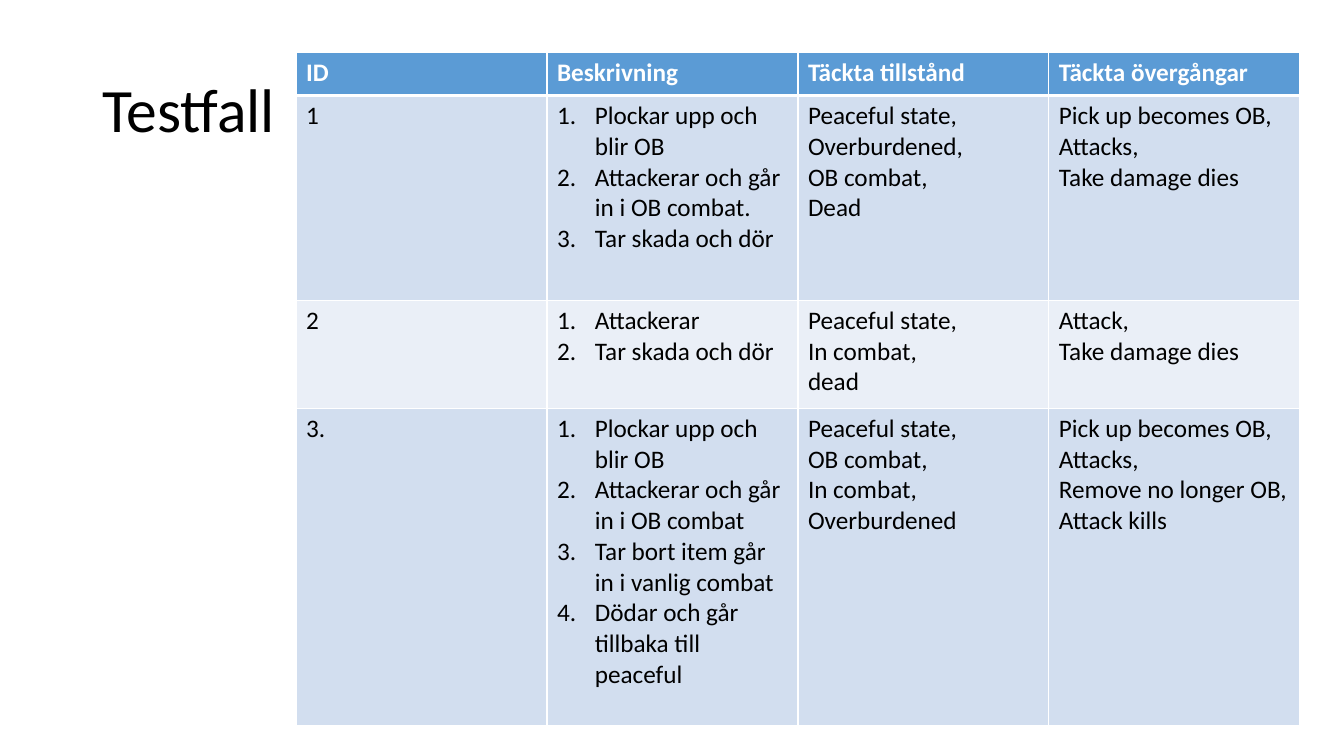
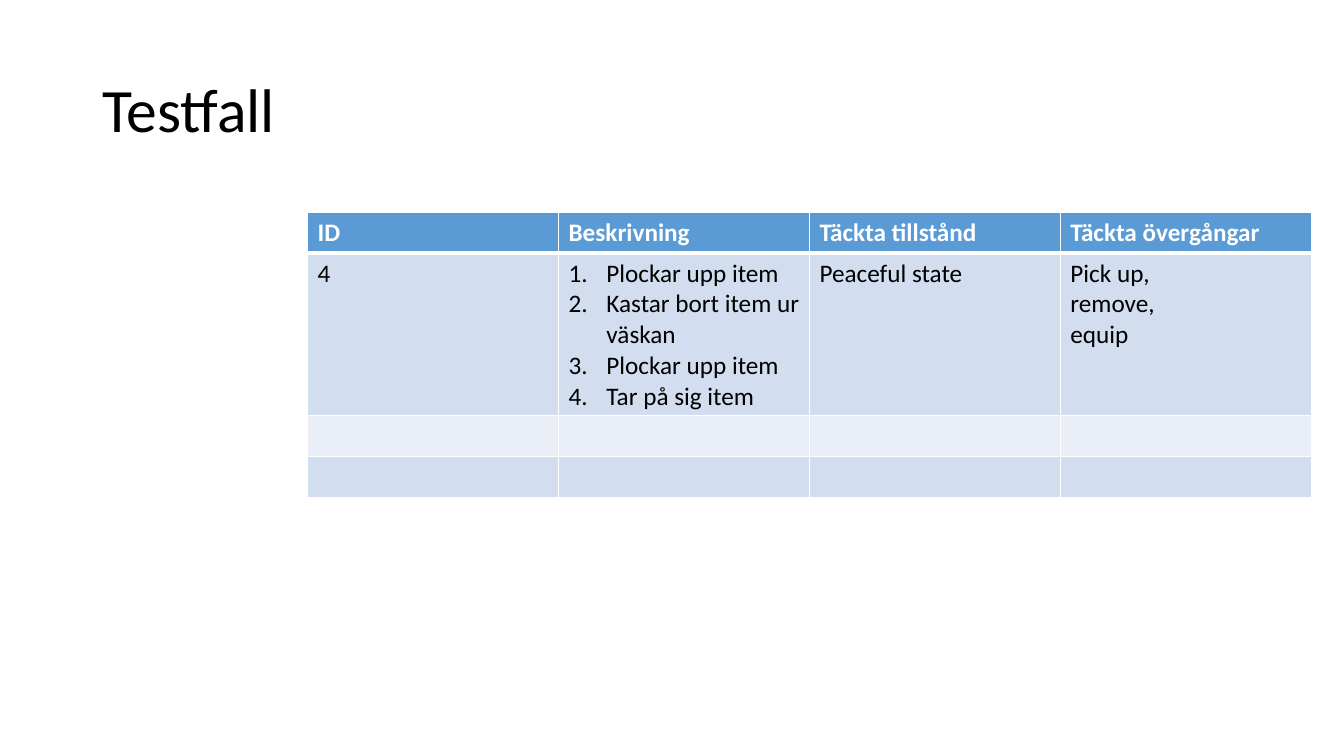
from dataclasses import dataclass

from lxml import etree
from pptx import Presentation
from pptx.dml.color import RGBColor
from pptx.enum.text import MSO_ANCHOR
from pptx.oxml.ns import qn
from pptx.util import Pt

MIDDLE = MSO_ANCHOR.MIDDLE
EMU_PER_PX = 9525
BLANK_LAYOUT = 6
COLUMN_WIDTH = 239
NUMBER_INDENT = 36
STEPS_COLUMN = 1
HEADINGS = ("ID", "Beskrivning", "Täckta tillstånd", "Täckta övergångar")


@dataclass(frozen=True)
class Theme:
    font: str = "Calibri"
    title_size: int = 44
    body_size: int = 18
    ink: str = "000000"
    white: str = "FFFFFF"
    header: str = "5B9BD5"
    bands: tuple = ("D2DEEF", "EAEFF7")
    grid_line: int = 1
    header_line: int = 3


THEME = Theme()


def px(length):
    return length * EMU_PER_PX


def write(frame, lines, size=THEME.body_size, color=THEME.ink, bold=False,
          numbered=False, line_spacing=None):
    frame.word_wrap = True
    for index, line in enumerate(lines):
        paragraph = frame.add_paragraph() if index else frame.paragraphs[0]
        if line_spacing:
            paragraph.line_spacing = line_spacing
        if numbered:
            number(paragraph)
        run = paragraph.add_run()
        run.text = line
        run.font.name = THEME.font
        run.font.size = Pt(size)
        run.font.bold = bold
        run.font.color.rgb = RGBColor.from_string(color)


def number(paragraph):
    properties = paragraph._p.get_or_add_pPr()
    properties.set("marL", str(px(NUMBER_INDENT)))
    properties.set("indent", str(-px(NUMBER_INDENT)))
    etree.SubElement(properties, qn("a:buFont"), typeface="+mj-lt")
    etree.SubElement(properties, qn("a:buAutoNum"), type="arabicPeriod")


def add_title(slide, text):
    title = slide.shapes.add_textbox(px(88), px(38), px(1104), px(139))
    title.text_frame.vertical_anchor = MIDDLE
    write(title.text_frame, [text], size=THEME.title_size, line_spacing=0.9)


def style_cell(cell, fill, top, bottom):
    properties = cell._tc.get_or_add_tcPr()
    widths = {"L": THEME.grid_line, "R": THEME.grid_line, "T": top, "B": bottom}
    for side, width in widths.items():
        border = etree.SubElement(properties, qn(f"a:ln{side}"), w=str(Pt(width)))
        border_fill = etree.SubElement(border, qn("a:solidFill"))
        etree.SubElement(border_fill, qn("a:srgbClr"), val=THEME.white)
    cell.fill.solid()
    cell.fill.fore_color.rgb = RGBColor.from_string(fill)


def add_header(table):
    for column, heading in enumerate(HEADINGS):
        cell = table.cell(0, column)
        style_cell(cell, THEME.header, THEME.grid_line, THEME.header_line)
        write(cell.text_frame, [heading], color=THEME.white, bold=True)


def add_case(table, row, case):
    fill = THEME.bands[(row - 1) % len(THEME.bands)]
    top = THEME.header_line if row == 1 else THEME.grid_line
    for column, lines in enumerate(case):
        cell = table.cell(row, column)
        style_cell(cell, fill, top, THEME.grid_line)
        write(cell.text_frame, lines, numbered=column == STEPS_COLUMN)


def add_case_table(slide, left, top, heights, cases):
    columns = len(HEADINGS)
    table = slide.shapes.add_table(
        len(heights), columns, px(left), px(top),
        px(COLUMN_WIDTH * columns), px(sum(heights))).table
    for column in table.columns:
        column.width = px(COLUMN_WIDTH)
    for row, height in zip(table.rows, heights):
        row.height = px(height)
    add_header(table)
    for row, case in enumerate(cases, start=1):
        add_case(table, row, case)


def add_case_slide(deck, **table_format):
    slide = deck.slides.add_slide(deck.slide_layouts[BLANK_LAYOUT])
    add_title(slide, "Testfall")
    add_case_table(slide, **table_format)


def main():
    deck = Presentation()
    deck.slide_width, deck.slide_height = px(1280), px(720)
    combat_cases = [
        (["1"],
         ["Plockar upp och blir OB", "Attackerar och går in i OB combat.",
          "Tar skada och dör"],
         ["Peaceful state,", "Overburdened,", "OB combat,", "Dead"],
         ["Pick up becomes OB,", "Attacks,", "Take damage dies"]),
        (["2"],
         ["Attackerar", "Tar skada och dör"],
         ["Peaceful state,", "In combat,", "dead"],
         ["Attack,", "Take damage dies"]),
        (["3."],
         ["Plockar upp och blir OB", "Attackerar och går in i OB combat",
          "Tar bort item går in i vanlig combat",
          "Dödar och går tillbaka till peaceful"],
         ["Peaceful state,", "OB combat,", "In combat,", "Overburdened"],
         ["Pick up becomes OB,", "Attacks,", "Remove no longer OB,",
          "Attack kills"]),
    ]
    empty_case = ([],) * len(HEADINGS)
    item_cases = [
        (["4"],
         ["Plockar upp item", "Kastar bort item ur väskan",
          "Plockar upp item", "Tar på sig item"],
         ["Peaceful state"],
         ["Pick up,", "remove,", "equip"]),
        empty_case,
        empty_case,
    ]
    add_case_slide(deck, left=282, top=50, heights=(41, 195, 103, 302),
                   cases=combat_cases)
    add_case_slide(deck, left=293, top=202, heights=(39, 155, 39, 39),
                   cases=item_cases)
    deck.save("out.pptx")


if __name__ == "__main__":
    main()
